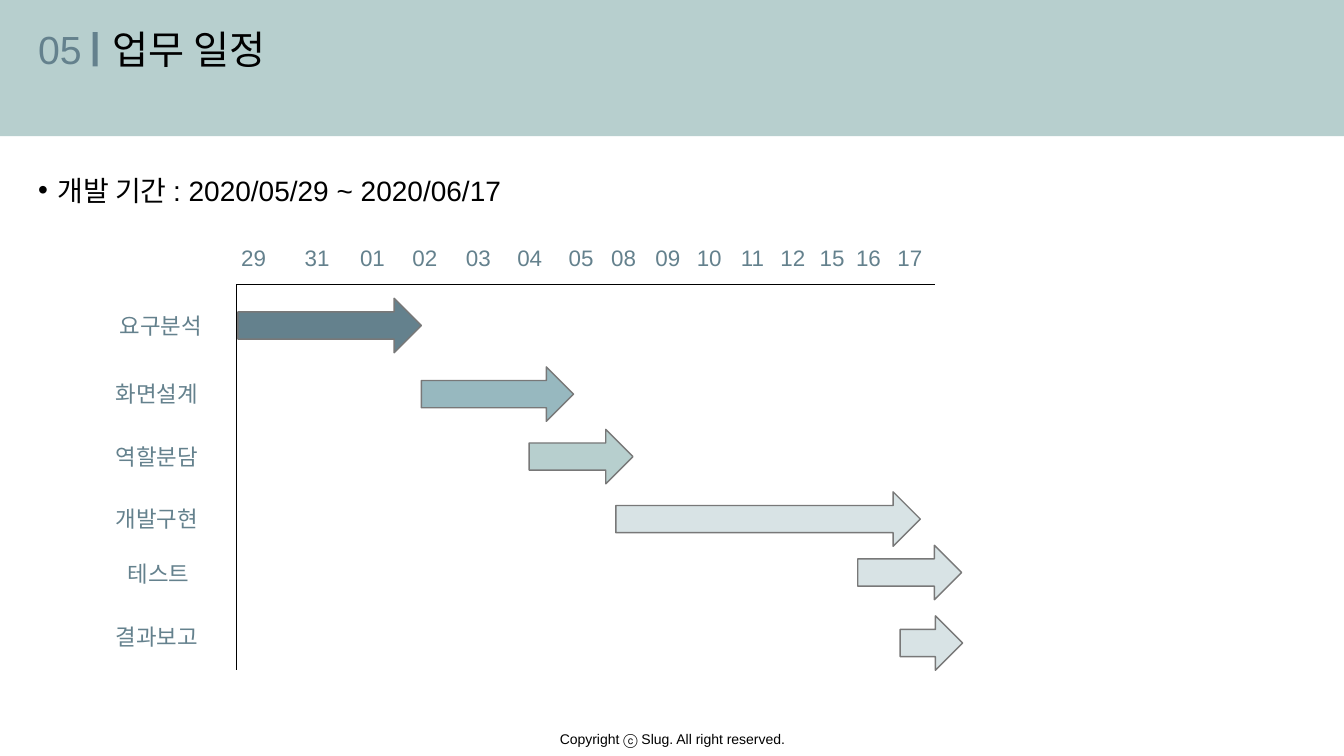
from lxml import etree
from pptx import Presentation
from pptx.dml.color import RGBColor
from pptx.enum.shapes import MSO_CONNECTOR as CONN, MSO_SHAPE as SHAPE
from pptx.enum.text import PP_ALIGN as ALIGN
from pptx.oxml.ns import qn
from pptx.util import Inches, Pt

# The grid has square cells, ten to the inch.
CELL = Inches(0.1)
COLUMNS, ROWS = 133.33, 75
FONT = "Arial"
COLORS = {
    "black": "000000",
    "slate": "64818D",
    "steel": "97B8BF",
    "sage": "B7CFCE",
    "mist": "D8E3E5",
    "outline": "787878",
}

AXIS_LEFT, AXIS_TOP, AXIS_RIGHT, AXIS_BOTTOM = 23.5, 28.2, 92.8, 66.5
LABEL_CENTER = 16.35
LINE_HEIGHT = 3.7
ARROW_HEIGHT = 5.4

# date, center column
DATES = [
    ("29", 25.15), ("31", 31.45), ("01", 36.95), ("02", 42.15), ("03", 47.45),
    ("04", 52.55), ("05", 57.65), ("08", 61.85), ("09", 66.25), ("10", 70.35),
    ("11", 74.65), ("12", 78.65), ("15", 82.55), ("16", 86.15), ("17", 90.25),
]

# task, label column and row, arrow column, row and width, color
TASKS = [
    ("요구분석", 10.9, 30.5, 23.6, 29.6, 18.2, "slate"),
    ("화면설계", 10.5, 37.2, 41.8, 36.4, 15.1, "steel"),
    ("역할분담", 10.5, 43.5, 52.5, 42.6, 10.3, "sage"),
    ("개발구현", 10.5, 49.6, 61.1, 48.8, 30.2, "mist"),
    ("테스트", 11.7, 55.1, 85.1, 54.1, 10.3, "mist"),
    ("결과보고", 10.5, 61.3, 89.3, 61.1, 6.2, "mist"),
]


def cells(*counts):
    return [round(n * CELL) for n in counts]


def rgb(name):
    return RGBColor.from_string(COLORS[name])


def add_text(shapes, text, box, size, color="black", align=ALIGN.LEFT):
    tf = shapes.add_textbox(*cells(*box)).text_frame
    tf.word_wrap = True
    p = tf.paragraphs[0]
    p.text = text
    p.alignment = align
    font = p.runs[0].font
    font.name, font.size = FONT, Pt(size)
    font.color.rgb = rgb(color)
    return p


def add_bullet(p, indent):
    pPr = p._p.get_or_add_pPr()
    pPr.set("marL", str(indent))
    pPr.set("indent", str(-indent))
    etree.SubElement(pPr, qn("a:buFont")).set("typeface", FONT)
    etree.SubElement(pPr, qn("a:buChar")).set("char", "•")


def add_block(shapes, kind, box, fill, line=None):
    s = shapes.add_shape(kind, *cells(*box))
    s.shadow.inherit = False
    s.fill.solid()
    s.fill.fore_color.rgb = rgb(fill)
    if line:
        s.line.color.rgb = rgb(line)
        s.line.width = Pt(1)
    else:
        s.line.fill.background()


def add_line(shapes, *ends):
    s = shapes.add_connector(CONN.STRAIGHT, *cells(*ends))
    s.line.color.rgb = rgb("black")
    s.line.width = Pt(0.75)
    etree.SubElement(s._element.spPr, qn("a:effectLst"))


def add_header(shapes):
    add_block(shapes, SHAPE.RECTANGLE, (0, 0, COLUMNS, 13.5), "sage")
    add_text(shapes, "05", (2.8, 2, 7.4, 5.7), 28, "slate")
    add_text(shapes, "업무 일정", (10.2, 2, 19.3, 5.7), 28)
    add_block(shapes, SHAPE.RECTANGLE, (9.2, 3.2, 0.5, 3.4), "slate")


def add_timeline(shapes):
    """Draw the two axes and the dates as one group."""
    group = shapes.add_group_shape().shapes
    add_line(group, AXIS_LEFT, AXIS_TOP, AXIS_RIGHT, AXIS_TOP)
    add_line(group, AXIS_LEFT, AXIS_TOP, AXIS_LEFT, AXIS_BOTTOM)
    width = 5.2
    for date, center in DATES:
        box = (center - width / 2, 23.7, width, LINE_HEIGHT)
        add_text(group, date, box, 16, "slate", ALIGN.CENTER)


def add_tasks(shapes):
    for name, label_x, label_y, x, y, width, color in TASKS:
        label_width = 2 * (LABEL_CENTER - label_x)
        add_text(shapes, name, (label_x, label_y, label_width, LINE_HEIGHT), 16, "slate")
        add_block(shapes, SHAPE.RIGHT_ARROW, (x, y, width, ARROW_HEIGHT), color, "outline")


def main():
    prs = Presentation()
    prs.slide_width, prs.slide_height = cells(COLUMNS, ROWS)
    shapes = prs.slides.add_slide(prs.slide_layouts[6]).shapes
    add_header(shapes)
    period = add_text(shapes, "개발 기간 : 2020/05/29 ~ 2020/06/17", (2.8, 16.7, 51.7, 4.4), 20)
    add_bullet(period, Inches(0.19))
    add_timeline(shapes)
    add_tasks(shapes)
    add_text(shapes, "Copyright ⓒ Slug. All right reserved.", (49.4, 72, 34.6, 2.7), 10,
             align=ALIGN.CENTER)
    prs.save("out.pptx")


if __name__ == "__main__":
    main()
